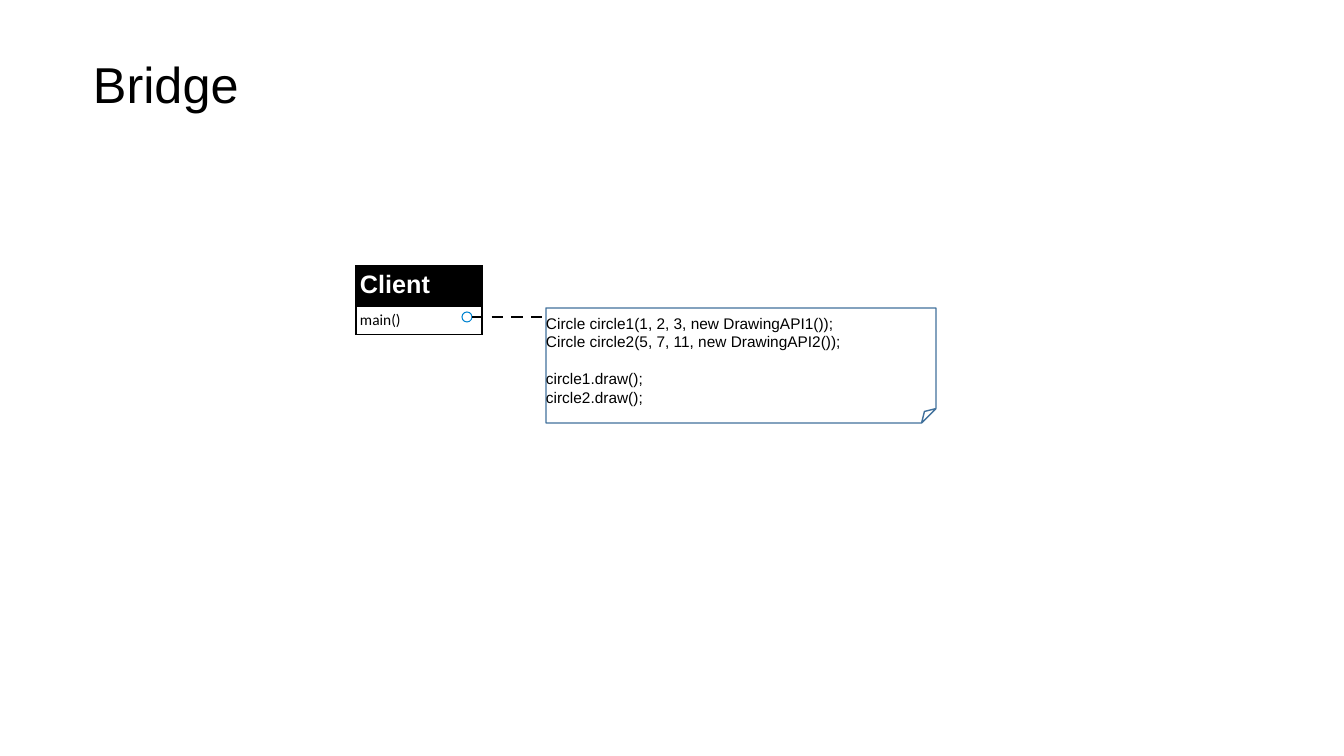
from dataclasses import dataclass

from lxml.etree import SubElement
from pptx import Presentation
from pptx.dml.color import RGBColor as Color
from pptx.enum.dml import MSO_LINE as Dash
from pptx.enum.shapes import MSO_CONNECTOR as Connector, MSO_SHAPE as Shape
from pptx.enum.text import MSO_ANCHOR as Anchor, PP_ALIGN as Align
from pptx.oxml.ns import qn
from pptx.util import Emu, Pt


@dataclass(frozen=True)
class Theme:
    black: str = "000000"
    white: str = "FFFFFF"
    handle: str = "0084D1"
    note: str = "41719C"
    heading: str = "Arial"
    body: str = "Calibri"
    title_size: int = 36
    class_size: int = 18
    code_size: int = 11
    code_gap: int = 13
    border: float = 1.13


THEME = Theme()


def px(length):
    return Emu(round(length * 914400 / 100.8))


def place(*lengths):
    return [px(length) for length in lengths]


def style_text(para, size, color, family=THEME.heading, bold=False):
    para.alignment = Align.LEFT
    for span in para.runs:
        span.font.name = family
        span.font.size = Pt(size)
        span.font.bold = bold
        span.font.color.rgb = Color.from_string(color)


def set_margins(target, left, top, right, bottom):
    target.margin_left, target.margin_top = px(left), px(top)
    target.margin_right, target.margin_bottom = px(right), px(bottom)


def set_outline(shape, color, width):
    shape.line.color.rgb = Color.from_string(color)
    shape.line.width = Pt(width)


def add_outlined_shape(page, kind, box, color, width):
    shape = page.shapes.add_shape(kind, *place(*box))
    shape.shadow.inherit = False
    shape.fill.background()
    set_outline(shape, color, width)
    return shape


def border_cell(cell):
    properties = cell._tc.get_or_add_tcPr()
    for index, side in enumerate(("lnL", "lnR", "lnT", "lnB")):
        line = properties.makeelement(qn(f"a:{side}"), {"w": str(int(Pt(THEME.border)))})
        fill = SubElement(line, qn("a:solidFill"))
        SubElement(fill, qn("a:srgbClr"), val=THEME.black)
        properties.insert(index, line)


def add_title(page, box):
    frame = page.shapes.add_textbox(*place(*box)).text_frame
    frame.word_wrap = True
    frame.vertical_anchor = Anchor.MIDDLE
    set_margins(frame, 0, 0, 0, 0)
    frame.text = "Bridge"
    style_text(frame.paragraphs[0], THEME.title_size, THEME.black)


def add_class_table(page, box):
    table = page.shapes.add_table(2, 1, *place(*box)).table
    header_height = 40
    heights = (header_height, box[3] - header_height)
    rows = (
        ("Client", THEME.class_size, THEME.white, THEME.heading, True, THEME.black),
        ("main()", THEME.code_size, THEME.black, THEME.body, False, THEME.white),
    )
    for index, (text, size, color, family, bold, fill) in enumerate(rows):
        table.rows[index].height = px(heights[index])
        cell = table.cell(index, 0)
        set_margins(cell, 4, 5, 4, 5)
        cell.fill.solid()
        cell.fill.fore_color.rgb = Color.from_string(fill)
        cell.text = text
        style_text(cell.text_frame.paragraphs[0], size, color, family, bold)
        border_cell(cell)


def add_note_link(page, box):
    left, top, width, height = box
    add_outlined_shape(page, Shape.OVAL, (left, top, height, height), THEME.handle, 0)
    middle = top + height // 2
    link = page.shapes.add_connector(
        Connector.STRAIGHT, *place(left + height, middle, left + width, middle)
    )
    set_outline(link, THEME.black, 0)
    link.line.dash_style = Dash.DASH
    SubElement(link._element.spPr, qn("a:effectLst"))


def add_code_note(page, box):
    note = add_outlined_shape(page, Shape.FOLDED_CORNER, box, THEME.note, 1)
    guides = note._element.spPr.find(qn("a:prstGeom")).get_or_add_avLst()
    SubElement(guides, qn("a:gd"), name="adj", fmla="val 12500")
    frame = note.text_frame
    frame.word_wrap = False
    frame.vertical_anchor = Anchor.TOP
    set_margins(frame, 0, 6, 11, 6)
    blocks = (
        (
            "Circle circle1(1, 2, 3, new DrawingAPI1());",
            "Circle circle2(5, 7, 11, new DrawingAPI2());",
        ),
        ("circle1.draw();", "circle2.draw();"),
    )
    frame.text = "\n".join(line for block in blocks for line in block)
    for para in frame.paragraphs:
        style_text(para, THEME.code_size, THEME.black)
    frame.paragraphs[len(blocks[0])].space_before = Pt(THEME.code_gap)


def main():
    deck = Presentation()
    deck.slide_width, deck.slide_height = place(1344, 756)
    page = deck.slides.add_slide(deck.slide_layouts[6])
    add_title(page, (93, 43, 180, 81))
    add_class_table(page, (356, 266, 126, 68))
    add_note_link(page, (462, 312, 81, 10))
    add_code_note(page, (546, 308, 390, 115))
    deck.save("out.pptx")


if __name__ == "__main__":
    main()
